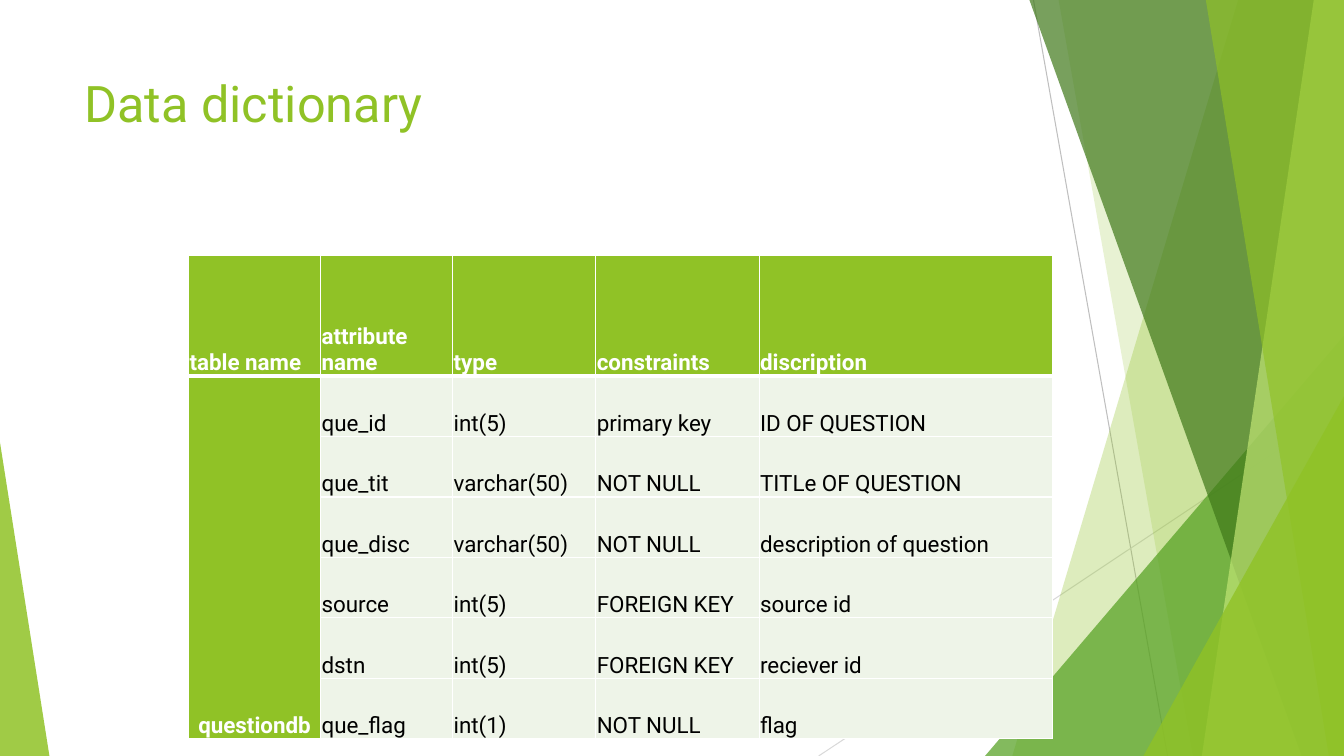
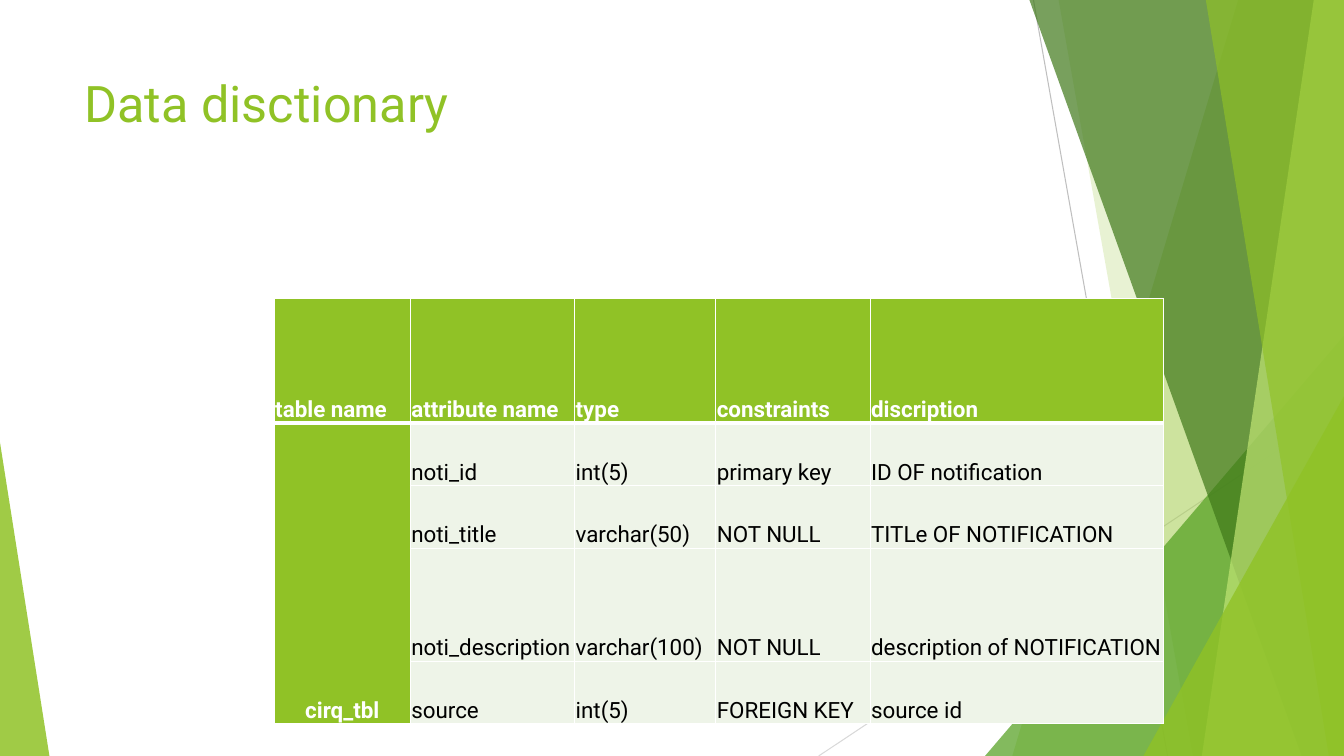
from dataclasses import dataclass

from lxml import etree
from pptx import Presentation
from pptx import util as u
from pptx.dml.color import RGBColor
from pptx.enum import shapes, text
from pptx.oxml import ns

WIDTH, HEIGHT = 13.33, 7.5
FONT = "Roboto"
COLOURS = {
    "lime": "90C226", "green": "54A021", "forest": "3F7819", "pale": "C0E474",
    "row": "EEF4E8", "white": "FFFFFF", "black": "000000",
    "grey": "BFBFBF", "light_grey": "D9D9D9",
}
TITLE_FORMAT = {"name": FONT, "size": u.Pt(36)}
CELL_FORMAT = {"name": FONT, "size": u.Pt(16)}
CELL_LAYOUT = {
    "margin_left": u.Inches(0.01), "margin_right": u.Inches(0.01),
    "margin_top": u.Inches(0.01), "margin_bottom": 0,
    "vertical_anchor": text.MSO_ANCHOR.BOTTOM,
}


@dataclass
class Ray:
    start: tuple[float, float]
    end: tuple[float, float]
    colour: str


@dataclass
class Band:
    """Full-height band from a slanted left edge to the right slide edge."""
    top_x: float
    bottom_x: float
    colour: str
    opacity: int


@dataclass
class Wedge:
    """Triangle on the bottom edge; apex 0 is at its left, 1 at its right."""
    left: float
    top: float
    width: float
    apex: int
    colour: str
    opacity: int


@dataclass
class Dictionary:
    title: str
    title_size: tuple[float, float]
    position: tuple[float, float]
    columns: list[float]
    rows: list[float]
    table_name: str
    attributes: list[tuple[str, str, str, str]]


RAYS = [
    Ray((10.25, 0), (11.58, HEIGHT), "grey"),
    Ray((WIDTH, 4.03), (8.12, HEIGHT), "light_grey"),
]
FACETS = [
    Band(12.28, 10.04, "lime", 30),
    Band(10.5, 11.83, "lime", 20),
    Wedge(9.77, 3.33, 3.56, 1, "green", 72),
    Band(10.21, 12.91, "forest", 70),
    Band(13.03, 11.92, "pale", 70),
    Band(11.96, 13.18, "lime", 65),
    Wedge(11.34, 3.93, 1.99, 1, "lime", 80),
    Wedge(0, 4.39, 0.49, 0, "lime", 85),
]
HEADINGS = ["table name", "attribute name", "type", "constraints", "discription"]
DICTIONARIES = [
    Dictionary(
        "Data dictionary", (3.78, 0.74), (1.87, 2.53),
        [1.31, 1.31, 1.42, 1.62, 2.91], [1.2] + [0.6] * 6, "questiondb",
        [
            ("que_id", "int(5)", "primary key", "ID OF QUESTION"),
            ("que_tit", "varchar(50)", "NOT NULL", "TITLe OF QUESTION"),
            ("que_disc", "varchar(50)", "NOT NULL", "description of question"),
            ("source", "int(5)", "FOREIGN KEY", "source id"),
            ("dstn", "int(5)", "FOREIGN KEY", "reciever id"),
            ("que_flag", "int(1)", "NOT NULL", "flag"),
        ],
    ),
    Dictionary(
        "Data disctionary", (9.4, 1.44), (2.72, 2.96),
        [1.35, 1.63, 1.4, 1.53, 2.91], [1.24, 0.62, 0.62, 1.12, 0.62], "cirq_tbl",
        [
            ("noti_id", "int(5)", "primary key", "ID OF notification"),
            ("noti_title", "varchar(50)", "NOT NULL", "TITLe OF NOTIFICATION"),
            ("noti_description", "varchar(100)", "NOT NULL",
             "description of NOTIFICATION"),
            ("source", "int(5)", "FOREIGN KEY", "source id"),
        ],
    ),
]


def rgb(colour: str) -> RGBColor:
    return RGBColor.from_string(COLOURS[colour])


def apply(target, values: dict) -> None:
    for attribute, value in values.items():
        setattr(target, attribute, value)


def draw_ray(slide, ray: Ray) -> None:
    line = slide.shapes.add_connector(
        shapes.MSO_CONNECTOR.STRAIGHT, *map(u.Inches, ray.start + ray.end))
    line.line.color.rgb = rgb(ray.colour)
    line.line.width = u.Pt(0.75)
    etree.SubElement(line._element.spPr, ns.qn("a:effectLst"))


def draw_facet(slide, facet: Band | Wedge) -> None:
    if isinstance(facet, Band):
        corners = [(facet.top_x, 0), (WIDTH, 0), (WIDTH, HEIGHT), (facet.bottom_x, HEIGHT)]
        points = [(u.Inches(x), u.Inches(y)) for x, y in corners]
        outline = slide.shapes.build_freeform(*points[0])
        outline.add_line_segments(points[1:], close=True)
        shape = outline.convert_to_shape()
    else:
        box = (facet.left, facet.top, facet.width, HEIGHT - facet.top)
        shape = slide.shapes.add_shape(
            shapes.MSO_SHAPE.ISOSCELES_TRIANGLE, *map(u.Inches, box))
        shape.adjustments[0] = facet.apex
    shape.shadow.inherit = False
    shape.line.fill.background()
    shape.fill.solid()
    shape.fill.fore_color.rgb = rgb(facet.colour)
    colour = shape._element.spPr.find(".//" + ns.qn("a:srgbClr"))
    etree.SubElement(colour, ns.qn("a:alpha"), val=str(facet.opacity * 1000))


def draw_title(slide, title: str, size: tuple[float, float]) -> None:
    frame = slide.shapes.add_textbox(*map(u.Inches, (0.74, 0.67) + size)).text_frame
    frame.word_wrap = True
    frame.text = title
    font = frame.paragraphs[0].runs[0].font
    apply(font, TITLE_FORMAT)
    font.color.rgb = rgb("lime")


def set_borders(cell, widths: dict[str, float]) -> None:
    properties = cell._tc.get_or_add_tcPr()
    for index, (side, width) in enumerate(widths.items()):
        border = etree.Element(ns.qn(f"a:ln{side}"), w=str(u.Pt(width)))
        fill = etree.SubElement(border, ns.qn("a:solidFill"))
        etree.SubElement(fill, ns.qn("a:srgbClr"), val=COLOURS["white"])
        properties.insert(index, border)


def draw_table(slide, entry: Dictionary) -> None:
    size = (sum(entry.columns), sum(entry.rows))
    table = slide.shapes.add_table(
        len(entry.rows), len(entry.columns),
        *map(u.Inches, entry.position + size)).table
    table.horz_banding = False
    for column, width in zip(table.columns, entry.columns):
        column.width = u.Inches(width)
    for row, height in zip(table.rows, entry.rows):
        row.height = u.Inches(height)

    # The table name spans all attribute rows
    names = [entry.table_name] + [""] * (len(entry.attributes) - 1)
    body = [[name, *attribute] for name, attribute in zip(names, entry.attributes)]
    for r, values in enumerate([HEADINGS] + body):
        for c, value in enumerate(values):
            cell = table.cell(r, c)
            is_heading = r == 0 or c == 0
            apply(cell, CELL_LAYOUT)
            cell.fill.solid()
            cell.fill.fore_color.rgb = rgb("lime" if is_heading else "row")
            set_borders(cell, {"L": 1, "R": 1, "T": 3 if r == 1 else 1,
                               "B": 3 if r == 0 else 1})
            paragraph = cell.text_frame.paragraphs[0]
            if c == 0 and r > 0:
                paragraph.alignment = text.PP_ALIGN.CENTER
            if value:
                run = paragraph.add_run()
                run.text = value
                apply(run.font, CELL_FORMAT | {"bold": is_heading})
                run.font.color.rgb = rgb("white" if is_heading else "black")
    table.cell(1, 0).merge(table.cell(len(body), 0))


def main() -> None:
    deck = Presentation()
    deck.slide_width, deck.slide_height = u.Inches(WIDTH), u.Inches(HEIGHT)
    for entry in DICTIONARIES:
        slide = deck.slides.add_slide(deck.slide_layouts[6])
        # Shared backdrop
        for ray in RAYS:
            draw_ray(slide, ray)
        for facet in FACETS:
            draw_facet(slide, facet)
        # Content
        draw_title(slide, entry.title, entry.title_size)
        draw_table(slide, entry)
    deck.save("out.pptx")


if __name__ == "__main__":
    main()
